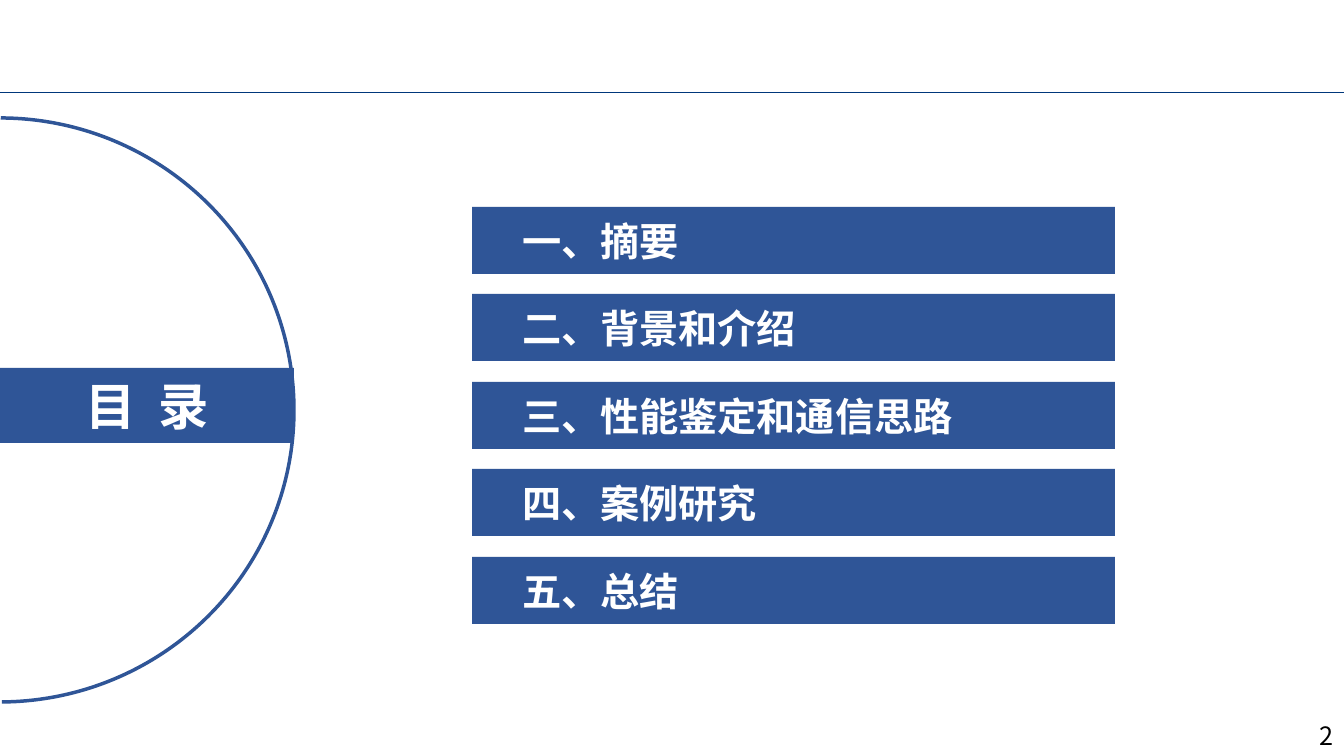
"""Builds the contents slide with a half-circle title and five section bars."""
from lxml.etree import SubElement
from pptx import Presentation
from pptx.dml.color import RGBColor
from pptx.enum.shapes import MSO_CONNECTOR, MSO_SHAPE
from pptx.enum.text import MSO_ANCHOR, PP_ALIGN
from pptx.oxml.ns import qn
from pptx.util import Emu, Pt


class Theme:
    blue = RGBColor(0x2F, 0x55, 0x97)
    navy = RGBColor(0x00, 0x37, 0x7B)
    white = RGBColor(0xFF, 0xFF, 0xFF)
    black = RGBColor(0x00, 0x00, 0x00)
    font = "Noto Sans CJK SC"
    title, section, number = Pt(36), Pt(28), Pt(18)
    rule, arc = Pt(0.75), Pt(2.5)


def px(length):
    return Emu(round(length * 914400 / 100.8))


def write(shape, text, size, color, align, bold=True):
    frame = shape.text_frame
    frame.word_wrap = True
    para = frame.paragraphs[0]
    para.text = text
    para.alignment = align
    font = para.font
    font.size, font.bold, font.name = size, bold, Theme.font
    font.color.rgb = color
    SubElement(font._element, qn("a:ea"), typeface=Theme.font)
    return para


deck = Presentation()
deck.slide_width, deck.slide_height = px(1344), px(756)
page = deck.slides.add_slide(deck.slide_layouts[6])

rule = page.shapes.add_connector(MSO_CONNECTOR.STRAIGHT, 0, px(93), px(1344), px(93))
rule.line.color.rgb = Theme.navy
rule.line.width = Theme.rule
SubElement(rule._element.spPr, qn("a:effectLst"))

arc = page.shapes.add_shape(MSO_SHAPE.ARC, px(-294), px(118), px(588), px(584))
arc.adjustments[0], arc.adjustments[1] = 162.09, 53.79
arc.shadow.inherit = False
arc.fill.background()
arc.line.color.rgb = Theme.blue
arc.line.width = Theme.arc

title = page.shapes.add_shape(MSO_SHAPE.RECTANGLE, 0, px(368), px(294), px(75))
title_para = write(title, "目 录", Theme.title, Theme.white, PP_ALIGN.CENTER)
title_para.runs[0]._r.get_or_add_rPr().set("spc", "400")

sections = ["一、摘要", "二、背景和介绍", "三、性能鉴定和通信思路", "四、案例研究", "五、总结"]
group = page.shapes.add_group_shape()
bars = []
for index, section in enumerate(sections):
    top = 207 + index * 175 // 2
    bar = group.shapes.add_shape(MSO_SHAPE.RECTANGLE, px(472), px(top), px(643), px(67))
    write(bar, section, Theme.section, Theme.white, PP_ALIGN.LEFT)
    bar.text_frame.margin_left = px(50)
    bars.append(bar)

for block in [title, *bars]:
    block.shadow.inherit = False
    block.fill.solid()
    block.fill.fore_color.rgb = Theme.blue
    block.line.fill.background()
    block.text_frame.vertical_anchor = MSO_ANCHOR.MIDDLE

number = page.shapes.add_textbox(px(1232), px(715), px(111), px(40))
write(number, "2", Theme.number, Theme.black, PP_ALIGN.RIGHT, bold=False)

deck.save("out.pptx")
